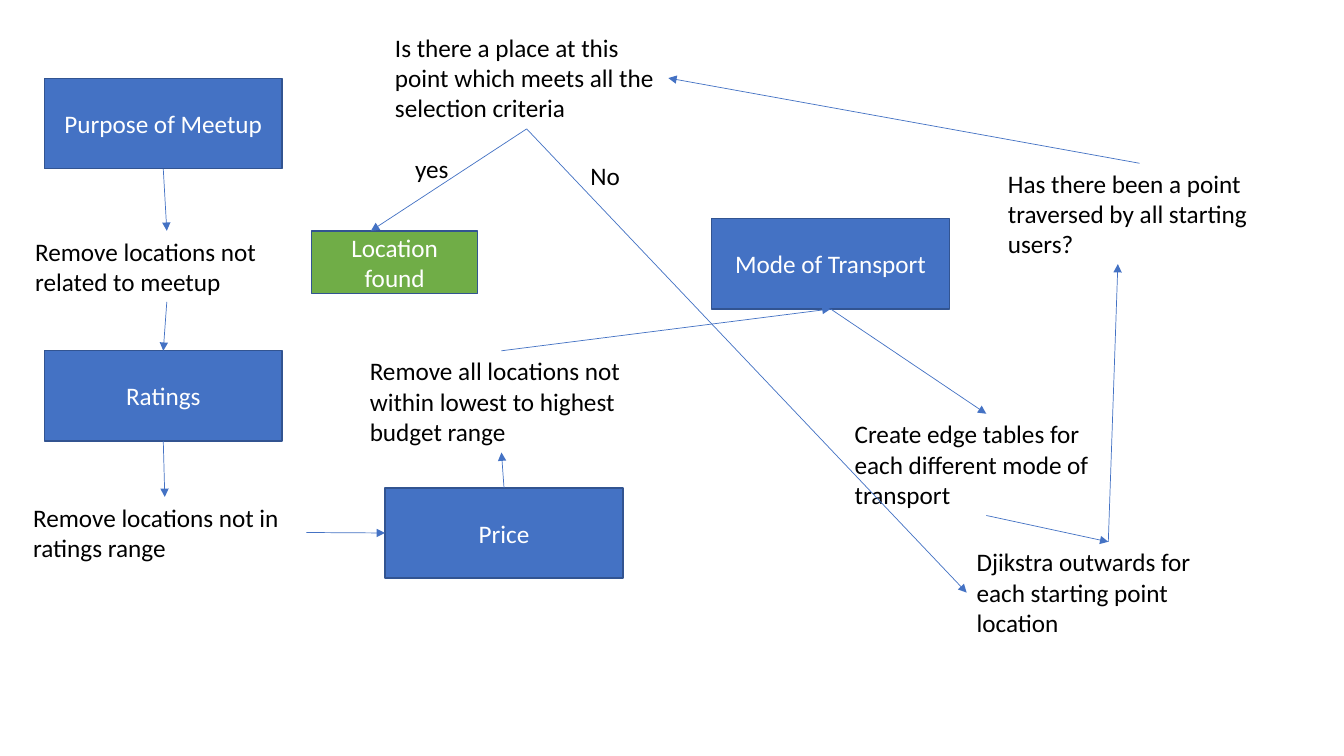
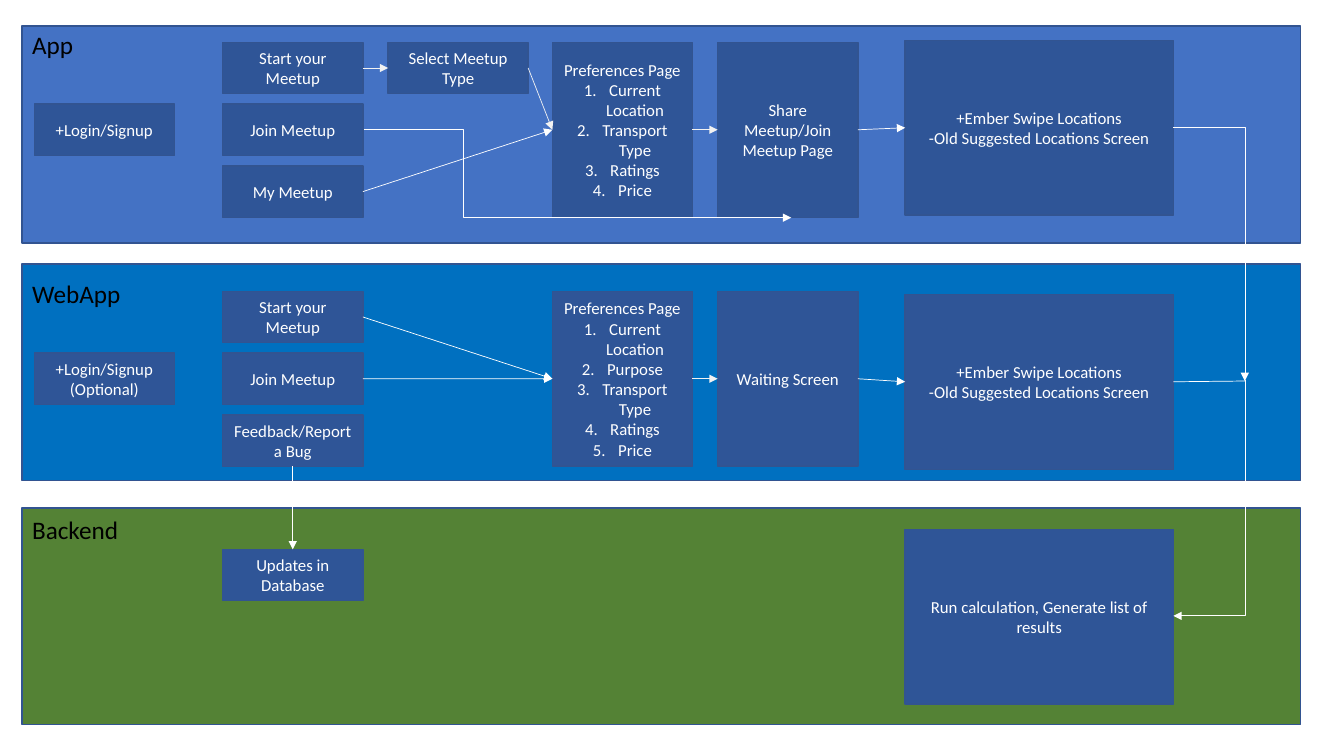
"""Build a location-search flowchart and a three-lane app, web and backend diagram."""
from dataclasses import dataclass
from enum import IntEnum
from typing import Optional, Union

from lxml.etree import SubElement
from pptx import Presentation
from pptx.dml.color import RGBColor
from pptx.enum.shapes import MSO_CONNECTOR, MSO_SHAPE
from pptx.enum.text import MSO_ANCHOR, MSO_AUTO_SIZE, PP_ALIGN
from pptx.oxml.ns import qn
from pptx.shapes.base import BaseShape
from pptx.slide import Slide
from pptx.util import Inches, Pt

BLUE = RGBColor(0x44, 0x72, 0xC4)
WEB_BLUE = RGBColor(0x00, 0x70, 0xC0)
DARK_BLUE = RGBColor(0x2F, 0x55, 0x97)
OUTLINE = RGBColor(0x32, 0x54, 0x91)
LIGHT_GREEN = RGBColor(0x70, 0xAD, 0x47)
DARK_GREEN = RGBColor(0x54, 0x82, 0x35)
WHITE = RGBColor(0xFF, 0xFF, 0xFF)
PALE = RGBColor(0xF2, 0xF2, 0xF2)
BLACK = RGBColor(0x00, 0x00, 0x00)

FONT = "Calibri"
CELL = Inches(0.1)
COLUMNS, ROWS = 133.33, 75


class Side(IntEnum):
    """Connection sites of a rectangle."""
    TOP = 0
    LEFT = 1
    BOTTOM = 2
    RIGHT = 3


@dataclass(frozen=True)
class Style:
    """Look of a node; a node without fill is a plain label."""
    fill: Optional[RGBColor] = None
    size: int = 18
    color: RGBColor = WHITE
    wrap: bool = True


@dataclass(frozen=True)
class Node:
    """A box or label placed in grid cells."""
    name: str
    text: str
    left: float
    top: float
    width: float
    height: float
    style: Style
    numbered: bool = False


Point = tuple[float, float]
End = Union[Point, tuple[str, Side]]


@dataclass(frozen=True)
class Arrow:
    """A straight line between two node sides or grid points."""
    start: End
    end: End
    color: RGBColor = WHITE
    head: Optional[str] = "tailEnd"


@dataclass(frozen=True)
class Elbow:
    """A bent line between two grid points."""
    start: Point
    end: Point
    preset: str = "bentConnector2"
    bend: Optional[int] = None
    head: str = "tailEnd"


STEP = Style(BLUE)
FOUND = Style(LIGHT_GREEN)
SCREEN = Style(DARK_BLUE, 12)
LABEL = Style(color=BLACK)
SHORT_LABEL = Style(color=BLACK, wrap=False)


def cells(count: float) -> int:
    """Convert grid cells to a length."""
    return round(count * CELL)


def number_paragraph(paragraph) -> None:
    """Give a paragraph a hanging automatic number."""
    properties = paragraph._p.get_or_add_pPr()
    properties.set("marL", str(Inches(0.25)))
    properties.set("indent", str(-Inches(0.25)))
    SubElement(properties, qn("a:buFont"), typeface="+mj-lt")
    SubElement(properties, qn("a:buAutoNum"), type="arabicPeriod")


def write_text(shape: BaseShape, node: Node) -> None:
    """Set and format the text of a node."""
    text_frame = shape.text_frame
    text_frame.text = node.text
    text_frame.word_wrap = node.style.wrap
    if node.style.fill is None:
        text_frame.auto_size = MSO_AUTO_SIZE.SHAPE_TO_FIT_TEXT
    else:
        text_frame.vertical_anchor = MSO_ANCHOR.MIDDLE
    for index, paragraph in enumerate(text_frame.paragraphs):
        if node.style.fill is not None:
            paragraph.alignment = PP_ALIGN.CENTER
        if node.numbered and index > 0:
            number_paragraph(paragraph)
        for run in paragraph.runs:
            run.font.name = FONT
            run.font.size = Pt(node.style.size)
            run.font.color.rgb = node.style.color


def draw_node(slide: Slide, node: Node) -> BaseShape:
    """Draw one box or label."""
    bounds = [cells(n) for n in (node.left, node.top, node.width, node.height)]
    if node.style.fill is None:
        shape = slide.shapes.add_textbox(*bounds)
    else:
        shape = slide.shapes.add_shape(MSO_SHAPE.RECTANGLE, *bounds)
        shape.shadow.inherit = False
        shape.fill.solid()
        shape.fill.fore_color.rgb = node.style.fill
        shape.line.color.rgb = OUTLINE
        shape.line.width = Pt(1)
    if node.text:
        write_text(shape, node)
    return shape


def finish_line(connector, color: RGBColor, head: Optional[str]) -> None:
    """Style a connector and add its arrowhead."""
    connector.line.color.rgb = color
    connector.line.width = Pt(0.5)
    properties = connector.element.spPr
    if head:
        SubElement(properties.find(qn("a:ln")), qn(f"a:{head}"), type="triangle")
    SubElement(properties, qn("a:effectLst"))


def draw_arrow(slide: Slide, arrow: Arrow, shapes: dict[str, BaseShape]) -> None:
    """Draw a straight line, glued wherever an end names a node."""
    points = [
        (0, 0) if isinstance(end[0], str) else (cells(end[0]), cells(end[1]))
        for end in (arrow.start, arrow.end)
    ]
    connector = slide.shapes.add_connector(MSO_CONNECTOR.STRAIGHT, *points[0], *points[1])
    for end, connect in ((arrow.start, connector.begin_connect), (arrow.end, connector.end_connect)):
        if isinstance(end[0], str):
            connect(shapes[end[0]], int(end[1]))
    finish_line(connector, arrow.color, arrow.head)


def draw_elbow(slide: Slide, elbow: Elbow) -> None:
    """Draw a bent line that leaves its start horizontally."""
    ends = [cells(n) for n in (*elbow.start, *elbow.end)]
    connector = slide.shapes.add_connector(MSO_CONNECTOR.ELBOW, *ends)
    geometry = connector.element.spPr.find(qn("a:prstGeom"))
    geometry.set("prst", elbow.preset)
    if elbow.bend is not None:
        adjustments = geometry.find(qn("a:avLst"))
        if adjustments is None:
            adjustments = SubElement(geometry, qn("a:avLst"))
        SubElement(adjustments, qn("a:gd"), name="adj1", fmla=f"val {elbow.bend}")
    finish_line(connector, WHITE, elbow.head)


def draw_diagram(presentation, nodes: list[Node], arrows: list[Arrow], elbows: list[Elbow]) -> None:
    """Add a blank slide with nodes and the lines between them."""
    slide = presentation.slides.add_slide(presentation.slide_layouts[6])
    shapes = {node.name: draw_node(slide, node) for node in nodes}
    for arrow in arrows:
        draw_arrow(slide, arrow, shapes)
    for elbow in elbows:
        draw_elbow(slide, elbow)


def step(name: str, text: str, left: float, top: float) -> Node:
    """Describe a flowchart step."""
    return Node(name, text, left, top, 23.6, 8.95, STEP)


def note(name: str, text: str, left: float, top: float, lines: int = 3) -> Node:
    """Describe a flowchart label of a given number of lines."""
    return Node(name, text, left, top, 28.1, 1 + 3.03 * lines, LABEL)


FLOW_NODES = [
    step("ratings", "Ratings", 4.4, 34.8),
    step("transport", "Mode of Transport", 7.06 * 10, 21.7),
    step("price", "Price", 38.2, 48.4),
    step("purpose", "Purpose of Meetup", 4.4, 7.8),
    note("unrelated", "Remove locations not related to meetup", 2.5, 22.9, 2),
    note("unrated", "Remove locations not in ratings range", 2.3, 49.3, 2),
    note("budget", "Remove all locations not within lowest to highest budget range", 35.7, 34.8),
    note("edges", "Create edge tables for each different mode of transport", 83.8, 41.05),
    note("search", "Djikstra outwards for each starting point location", 95.9, 53.75),
    note("traversed", "Has there been a point traversed by all starting users?", 99, 16.2),
    note("criteria", "Is there a place at this point which meets all the selection criteria", 38.2, 2.7),
    Node("no", "No", 57.6, 15.4, 5, 7.1, SHORT_LABEL),
    Node("yes", "yes", 40.2, 14.7, 5.4, 4, SHORT_LABEL),
    Node("found", "Location found", 30.9, 22.9, 16.5, 6.2, FOUND),
]

FLOW_ARROWS = [
    Arrow(start, end, BLUE)
    for start, end in (
        (("purpose", Side.BOTTOM), ("unrelated", Side.TOP)),
        (("unrelated", Side.BOTTOM), ("ratings", Side.TOP)),
        (("ratings", Side.BOTTOM), ("unrated", Side.TOP)),
        (("unrated", Side.RIGHT), ("price", Side.LEFT)),
        (("price", Side.TOP), ("budget", Side.BOTTOM)),
        (("budget", Side.TOP), ("transport", Side.BOTTOM)),
        (("transport", Side.BOTTOM), ("edges", Side.TOP)),
        (("edges", Side.BOTTOM), ("search", Side.TOP)),
        (("search", Side.TOP), (110.9, 26.2)),
        (("traversed", Side.TOP), ("criteria", Side.RIGHT)),
        (("criteria", Side.BOTTOM), ("search", Side.LEFT)),
        (("criteria", Side.BOTTOM), (36.8, 22.9)),
    )
]

LANES = (("App", 2.6, 2.4, BLUE), ("WebApp", 26.2, 27.1, WEB_BLUE), ("Backend", 50.4, 50.5, DARK_GREEN))
SCREEN_LEFTS = (3.4, 22.1, 38.5, 54.8, 71.2, 89.8)
APP_TOP, WEB_TOP, BACKEND_TOP = 4.2, 28.9, 54.5
ROW_STEP, TALL = 6.13, 17.35
BUS = 123.5


def small(name: str, text: str, column: int, top: float, row: int = 0) -> Node:
    """Describe a one-row screen."""
    return Node(name, text, SCREEN_LEFTS[column], top + row * ROW_STEP, 13.9, 5.1, SCREEN)


def tall(name: str, text: str, column: int, top: float, numbered: bool = False) -> Node:
    """Describe a screen that spans every row of a lane."""
    width = 26.6 if column == 5 else 13.9
    return Node(name, text, SCREEN_LEFTS[column], top, width, TALL, SCREEN, numbered)


SWIPE = "+Ember Swipe Locations\n-Old Suggested Locations Screen"
LANE_NODES = [
    *(Node(f"{title} lane", "", 2.2, top, 126.8, 21.5, Style(fill)) for title, top, _, fill in LANES),
    *(Node(title, title, 2.2, top, 23.3, 4, LABEL) for title, _, top, _ in LANES),
    small("start", "Start your Meetup", 1, APP_TOP),
    small("join", "Join Meetup", 1, APP_TOP, 1),
    small("mine", "My Meetup", 1, APP_TOP, 2),
    small("login", "+Login/Signup", 0, APP_TOP, 1),
    small("type", "Select Meetup Type", 2, APP_TOP),
    tall("preferences", "Preferences Page\nCurrent Location\nTransport Type\nRatings\nPrice", 3, APP_TOP, True),
    tall("share", "Share Meetup/Join Meetup Page", 4, APP_TOP),
    tall("swipe", SWIPE, 5, 4),
    small("web login", "+Login/Signup (Optional)", 0, WEB_TOP, 1),
    small("web start", "Start your Meetup", 1, WEB_TOP),
    small("web join", "Join Meetup", 1, WEB_TOP, 1),
    small("feedback", "Feedback/Report a Bug", 1, WEB_TOP, 2),
    small("updates", "Updates in Database", 1, BACKEND_TOP),
    tall("web preferences", "Preferences Page\nCurrent Location\nPurpose\nTransport Type\nRatings\nPrice", 3, WEB_TOP, True),
    tall("waiting", "Waiting Screen", 4, WEB_TOP),
    tall("web swipe", SWIPE, 5, 29.2),
    tall("calculation", "Run calculation, Generate list of results", 5, 52.5),
]

LANE_ARROWS = [
    *(
        Arrow((start, Side.RIGHT), (end, Side.LEFT), color)
        for start, end, color in (
            ("mine", "preferences", WHITE),
            ("start", "type", PALE),
            ("type", "preferences", PALE),
            ("preferences", "share", PALE),
            ("share", "swipe", WHITE),
            ("web start", "web preferences", WHITE),
            ("web join", "web preferences", WHITE),
            ("web preferences", "waiting", PALE),
            ("waiting", "web swipe", WHITE),
        )
    ),
    Arrow(("feedback", Side.BOTTOM), ("updates", Side.TOP)),
    Arrow(("web swipe", Side.RIGHT), (BUS, 37.8), head=None),
]

LANE_ELBOWS = [
    Elbow((36.1, 12.8), (78.5, 21.6), "bentConnector3", 23300),
    Elbow((116.4, 61.1), (BUS, 37.7), head="headEnd"),
    Elbow((116.4, 12.6), (BUS, 37.8)),
]

presentation = Presentation()
presentation.slide_width, presentation.slide_height = cells(COLUMNS), cells(ROWS)
draw_diagram(presentation, FLOW_NODES, FLOW_ARROWS, [])
draw_diagram(presentation, LANE_NODES, LANE_ARROWS, LANE_ELBOWS)
presentation.save("out.pptx")
